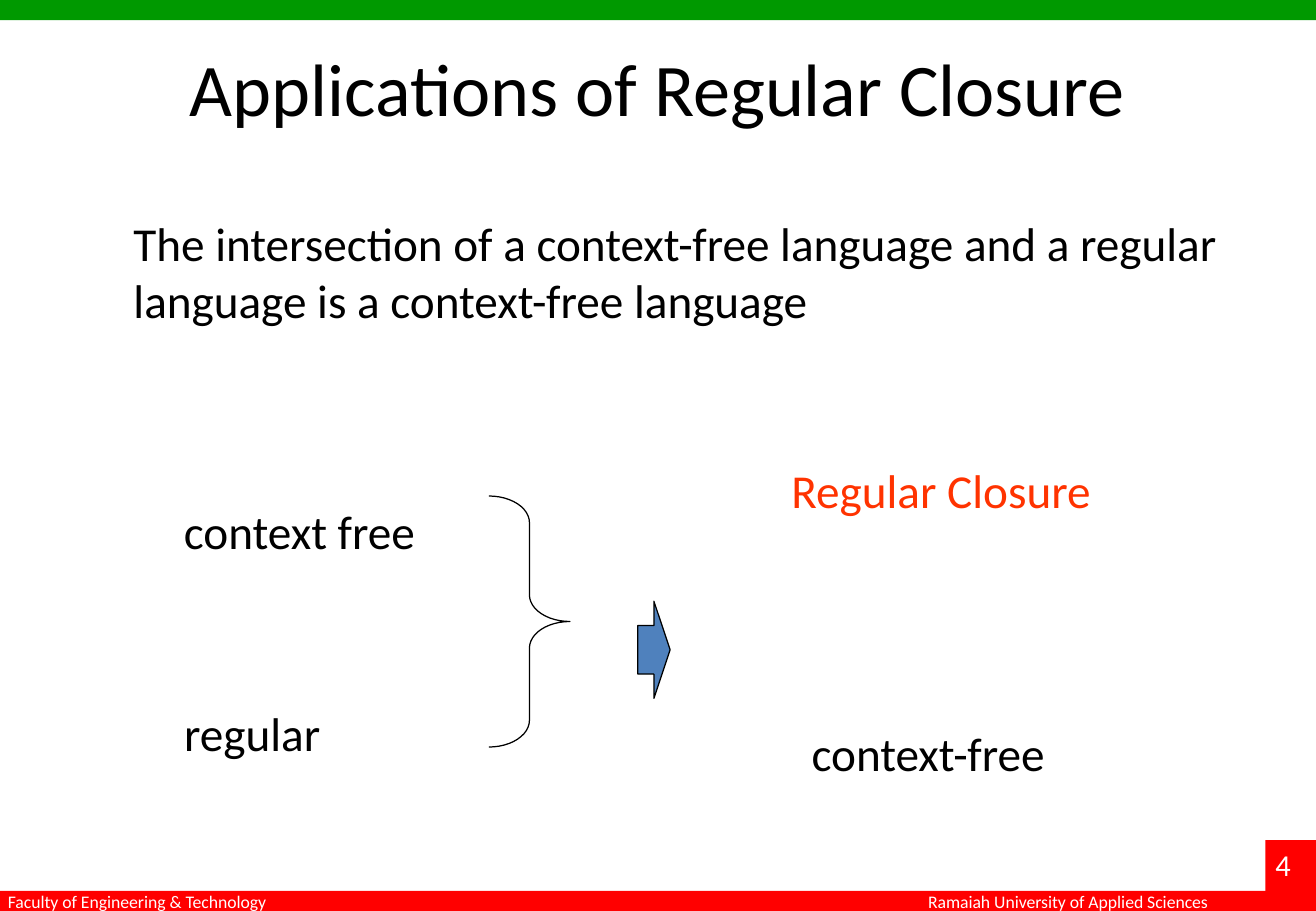
from pptx import Presentation
from pptx import util as u
from pptx.dml.color import RGBColor
from pptx.enum import shapes, text

PX = u.Inches(1) // 120
GREEN = RGBColor(0x00, 0x99, 0x00)
RED = RGBColor(0xFF, 0x00, 0x00)
ORANGE = RGBColor(0xFF, 0x33, 0x00)
BLUE = RGBColor(0x4F, 0x81, 0xBD)
BLACK = RGBColor(0x00, 0x00, 0x00)
WHITE = RGBColor(0xFF, 0xFF, 0xFF)

prs = Presentation()
prs.slide_width, prs.slide_height = 1300 * PX, 900 * PX
s = prs.slides.add_slide(prs.slide_layouts[6])


def add_text(words, x, y, w, h, size=28, color=BLACK, wrap=False,
             align=text.PP_ALIGN.LEFT, fit=text.MSO_AUTO_SIZE.SHAPE_TO_FIT_TEXT):
    tf = s.shapes.add_textbox(x * PX, y * PX, w * PX, h * PX).text_frame
    tf.word_wrap = wrap
    tf.auto_size = fit
    p = tf.paragraphs[0]
    p.alignment = align
    r = p.add_run()
    r.text = words
    r.font.name = "Calibri"
    r.font.size = u.Pt(size)
    r.font.color.rgb = color


def add_shape(kind, x, y, w, h, fill=None, line=None, adjust=()):
    sp = s.shapes.add_shape(kind, x * PX, y * PX, w * PX, h * PX)
    sp.shadow.inherit = False
    for i, value in enumerate(adjust):
        sp.adjustments[i] = value
    if fill is None:
        sp.fill.background()
    else:
        sp.fill.solid()
        sp.fill.fore_color.rgb = fill
    if line is None:
        sp.line.fill.background()
    else:
        sp.line.color.rgb = line
        sp.line.width = u.Pt(0.75)


# Top band, footer band and page number
RECT = shapes.MSO_SHAPE.RECTANGLE
add_shape(RECT, 0, 0, 1300, 20, fill=GREEN)
add_shape(RECT, 0, 880, 1300, 20, fill=RED)
add_shape(RECT, 1250, 830, 50, 70, fill=RED)
add_text("Faculty of Engineering & Technology", -4, 874, 286, 34, size=10.5, color=WHITE)
add_text("Ramaiah University of Applied Sciences", 905, 874, 306, 34, size=10.5, color=WHITE)
add_text("4", 1248, 830, 60, 48, size=18, color=WHITE)

# Title and statement
add_text("Applications of Regular Closure", 65, 36, 1170, 150, size=44, wrap=True,
         align=text.PP_ALIGN.CENTER, fit=text.MSO_AUTO_SIZE.NONE)
add_text("The intersection of a context-free language and a regular language "
         "is a context-free language", 120, 206, 1110, 125, wrap=True)

# Diagram: two languages lead to one
add_text("context free", 170, 490, 254, 68)
add_text("regular", 170, 690, 160, 68)
add_shape(shapes.MSO_SHAPE.RIGHT_BRACE, 483, 490, 80, 248, line=BLACK, adjust=(0.33, 0.5))
add_shape(shapes.MSO_SHAPE.RIGHT_ARROW, 630, 594, 32, 96, fill=BLUE, line=BLACK,
          adjust=(0.5, 0.5))
add_text("context-free", 790, 710, 258, 68)
add_text("Regular Closure", 770, 450, 323, 68, color=ORANGE)

prs.save("out.pptx")
